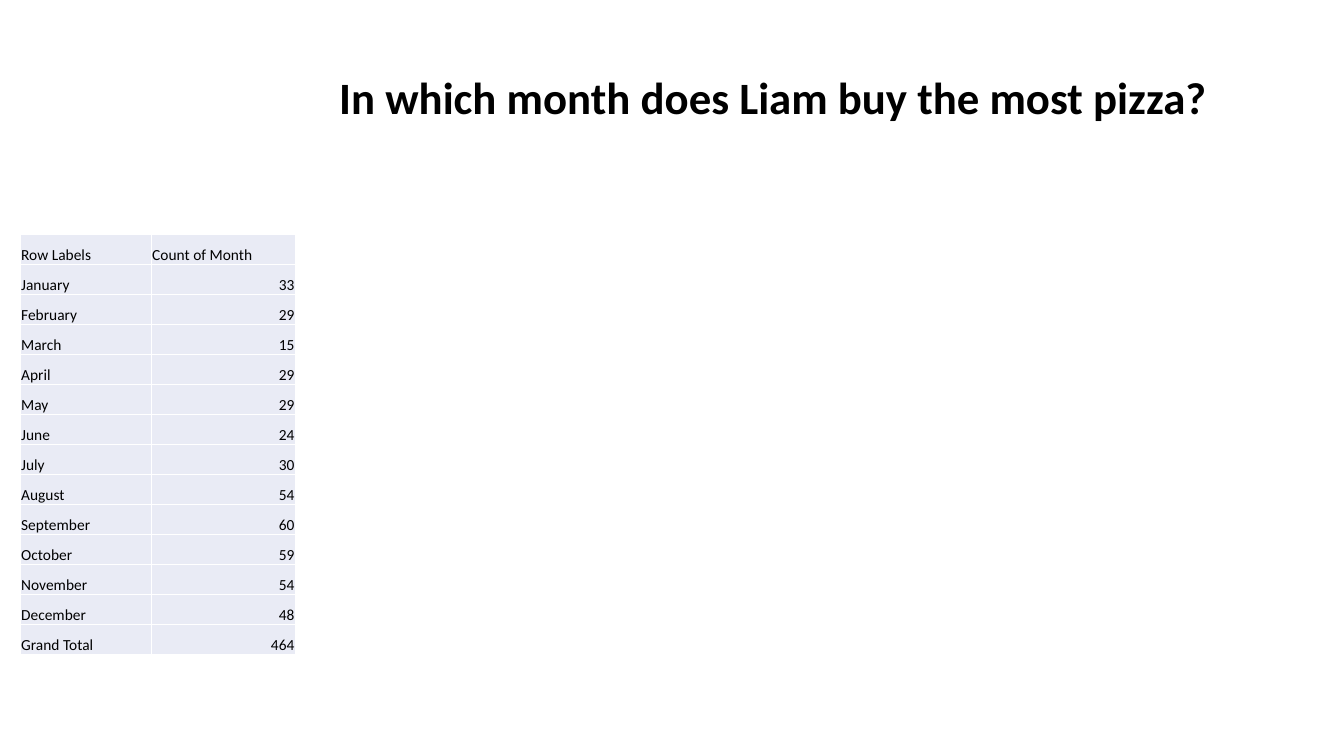
"""Build a slide that counts pizza purchases by month."""
from lxml.etree import SubElement
from pptx import Presentation
from pptx.dml.color import RGBColor
from pptx.enum.text import MSO_ANCHOR, PP_ALIGN
from pptx.oxml.ns import qn
from pptx.util import Inches, Pt

TITLE = "In which month does Liam buy the most pizza?"
ROWS = [
    ("Row Labels", "Count of Month"),
    ("January", 33),
    ("February", 29),
    ("March", 15),
    ("April", 29),
    ("May", 29),
    ("June", 24),
    ("July", 30),
    ("August", 54),
    ("September", 60),
    ("October", 59),
    ("November", 54),
    ("December", 48),
    ("Grand Total", 464),
]
COLS = (1.3, 1.43)
HIGH = 4.17
FONT = "Calibri"
BLACK = RGBColor(0x00, 0x00, 0x00)
WHITE = RGBColor(0xFF, 0xFF, 0xFF)
PALE = RGBColor(0xE9, 0xEB, 0xF5)


def write(para, text, size, bold=False):
    run = para.add_run()
    run.text = text
    run.font.name = FONT
    run.font.size = Pt(size)
    run.font.bold = bold
    run.font.color.rgb = BLACK


def border(cell):
    props = cell._tc.get_or_add_tcPr()
    for side in ("lnL", "lnR", "lnT", "lnB"):
        line = SubElement(props, qn(f"a:{side}"), w=str(Pt(1)))
        fill = SubElement(line, qn("a:solidFill"))
        SubElement(fill, qn("a:srgbClr"), val=str(WHITE))


def add_title(slide):
    box = slide.shapes.add_textbox(Inches(0.92), Inches(0.27), Inches(11.5), Inches(1.45))
    frame = box.text_frame
    frame.word_wrap = True
    frame.vertical_anchor = MSO_ANCHOR.MIDDLE
    para = frame.paragraphs[0]
    para.alignment = PP_ALIGN.CENTER
    para.line_spacing = 0.9
    props = para._p.get_or_add_pPr()
    props.set("marL", str(Inches(1.5)))
    props.set("indent", str(Inches(0.5)))
    write(para, TITLE, 32, True)


def fill_cell(cell, value):
    border(cell)
    cell.fill.solid()
    cell.fill.fore_color.rgb = PALE
    cell.vertical_anchor = MSO_ANCHOR.BOTTOM
    cell.margin_left = cell.margin_right = cell.margin_top = Inches(0.01)
    cell.margin_bottom = 0
    para = cell.text_frame.paragraphs[0]
    para.alignment = PP_ALIGN.RIGHT if isinstance(value, int) else PP_ALIGN.LEFT
    write(para, str(value), 11)


def add_counts(slide):
    frame = slide.shapes.add_table(len(ROWS), len(COLS), Inches(0.2), Inches(2.33),
                                   Inches(sum(COLS)), Inches(HIGH))
    table = frame.table
    table.first_row = table.horz_banding = False
    for col, width in zip(table.columns, COLS):
        col.width = Inches(width)
    for row, values in zip(table.rows, ROWS):
        row.height = Inches(HIGH / len(ROWS))
        for cell, value in zip(row.cells, values):
            fill_cell(cell, value)


def main():
    deck = Presentation()
    deck.slide_width = Inches(13.33)
    deck.slide_height = Inches(7.5)
    slide = deck.slides.add_slide(deck.slide_layouts[6])
    slide.background.fill.solid()
    slide.background.fill.fore_color.rgb = WHITE
    add_title(slide)
    add_counts(slide)
    deck.save("out.pptx")


if __name__ == "__main__":
    main()
